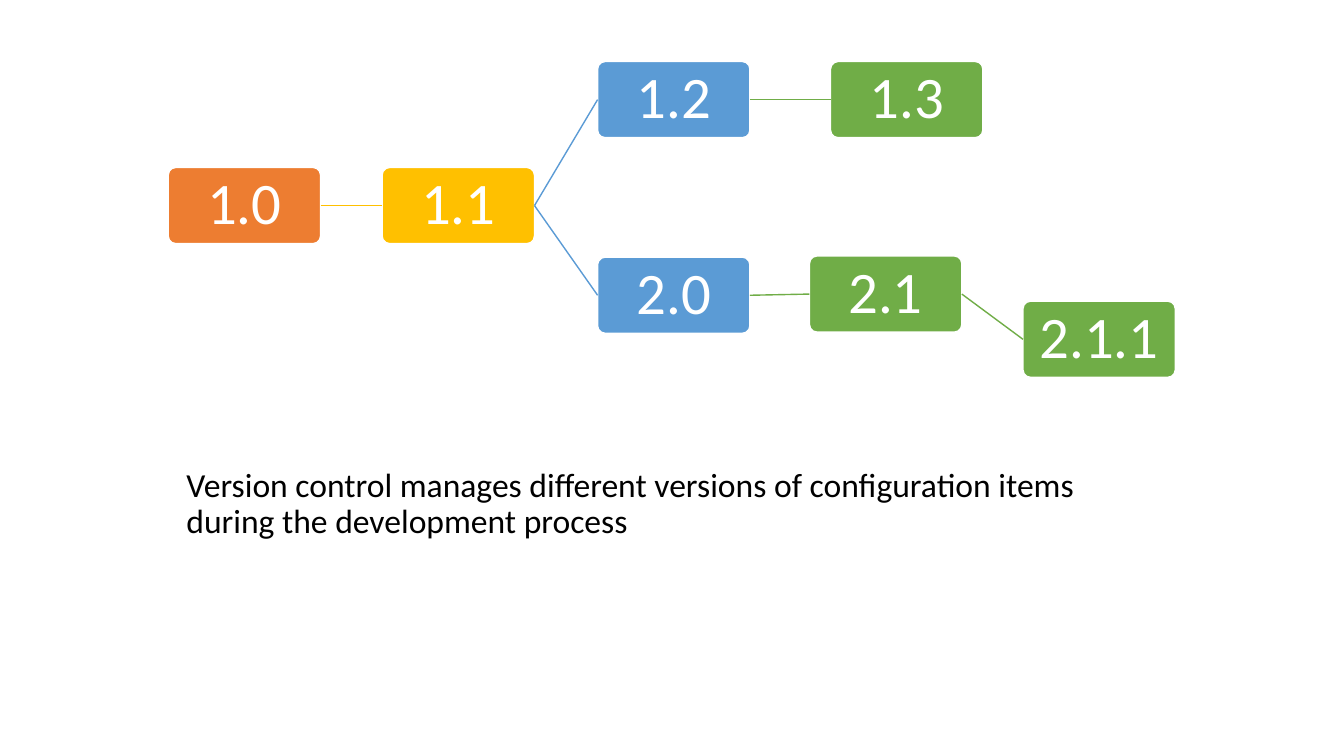
from lxml import etree
from pptx import Presentation
from pptx import util as u
from pptx.dml.color import RGBColor
from pptx.enum import shapes, text
from pptx.oxml.ns import qn

ORANGE = RGBColor(0xED, 0x7D, 0x31)
GOLD = RGBColor(0xFF, 0xC0, 0x00)
BLUE = RGBColor(0x5B, 0x9B, 0xD5)
GREEN = RGBColor(0x70, 0xAD, 0x47)
WHITE = RGBColor(0xFF, 0xFF, 0xFF)
BLACK = RGBColor(0x00, 0x00, 0x00)


def add_text(tf, words, size, color):
    tf.word_wrap = True
    p = tf.paragraphs[0]
    p.line_spacing = 0.9
    r = p.add_run()
    r.text = words
    r.font.name = "Calibri"
    r.font.size = u.Pt(size)
    r.font.color.rgb = color
    return p


prs = Presentation()
prs.slide_width, prs.slide_height = u.Cm(33.87), u.Cm(19.05)
s = prs.slides.add_slide(prs.slide_layouts[6])

tb = s.shapes.add_textbox(u.Cm(4.45), u.Cm(11.68), u.Cm(24.77), u.Cm(4.39))
p = add_text(
    tb.text_frame,
    "Version control manages different versions of configuration items during the development process",
    24, BLACK)
p.space_before = u.Pt(10)

versions = [
    ("1.0", None, 4.24, 4.22, ORANGE),
    ("1.1", "1.0", 9.63, 4.22, GOLD),
    ("1.2", "1.1", 15.06, 1.55, BLUE),
    ("1.3", "1.2", 20.93, 1.55, GREEN),
    ("2.0", "1.1", 15.06, 6.48, BLUE),
    ("2.1", "2.0", 20.4, 6.45, GREEN),
    ("2.1.1", "2.1", 25.78, 7.59, GREEN),
]
boxes = {}
for name, parent, x, y, color in versions:
    sp = s.shapes.add_shape(shapes.MSO_SHAPE.ROUNDED_RECTANGLE,
                            u.Cm(x), u.Cm(y), u.Cm(3.84), u.Cm(1.92))
    sp.shadow.inherit = False
    sp.adjustments[0] = 0.1
    sp.fill.solid()
    sp.fill.fore_color.rgb = color
    sp.line.color.rgb = WHITE
    sp.line.width = u.Pt(1)
    tf = sp.text_frame
    tf.margin_left = tf.margin_right = tf.margin_top = tf.margin_bottom = u.Cm(0.08)
    tf.vertical_anchor = text.MSO_ANCHOR.MIDDLE
    p = add_text(tf, name, 42, WHITE)
    p.alignment = text.PP_ALIGN.CENTER
    boxes[name] = sp
    if parent:
        cx = s.shapes.add_connector(shapes.MSO_CONNECTOR.STRAIGHT, 0, 0, 0, 0)
        cx.begin_connect(boxes[parent], 3)
        cx.end_connect(sp, 1)
        cx.line.color.rgb = color
        cx.line.width = u.Pt(1)
        etree.SubElement(cx._element.spPr, qn("a:effectLst"))

prs.save("out.pptx")
